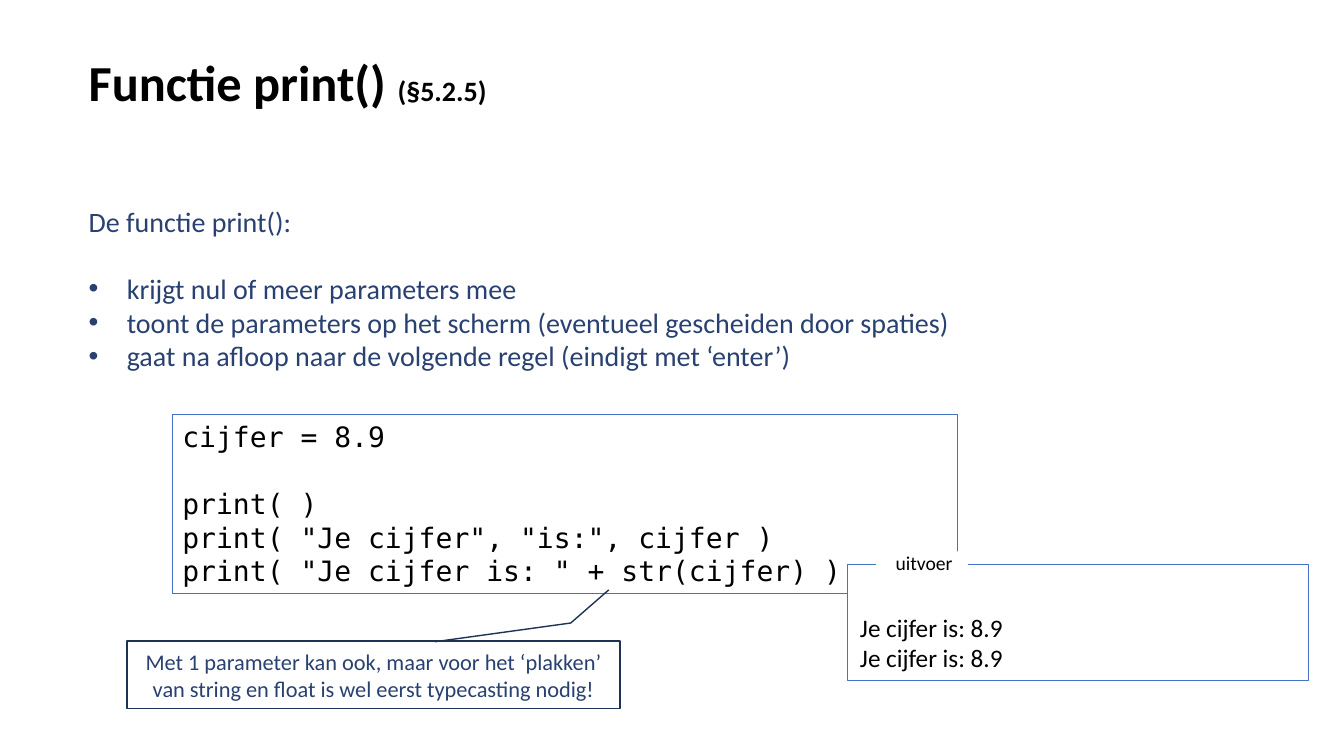
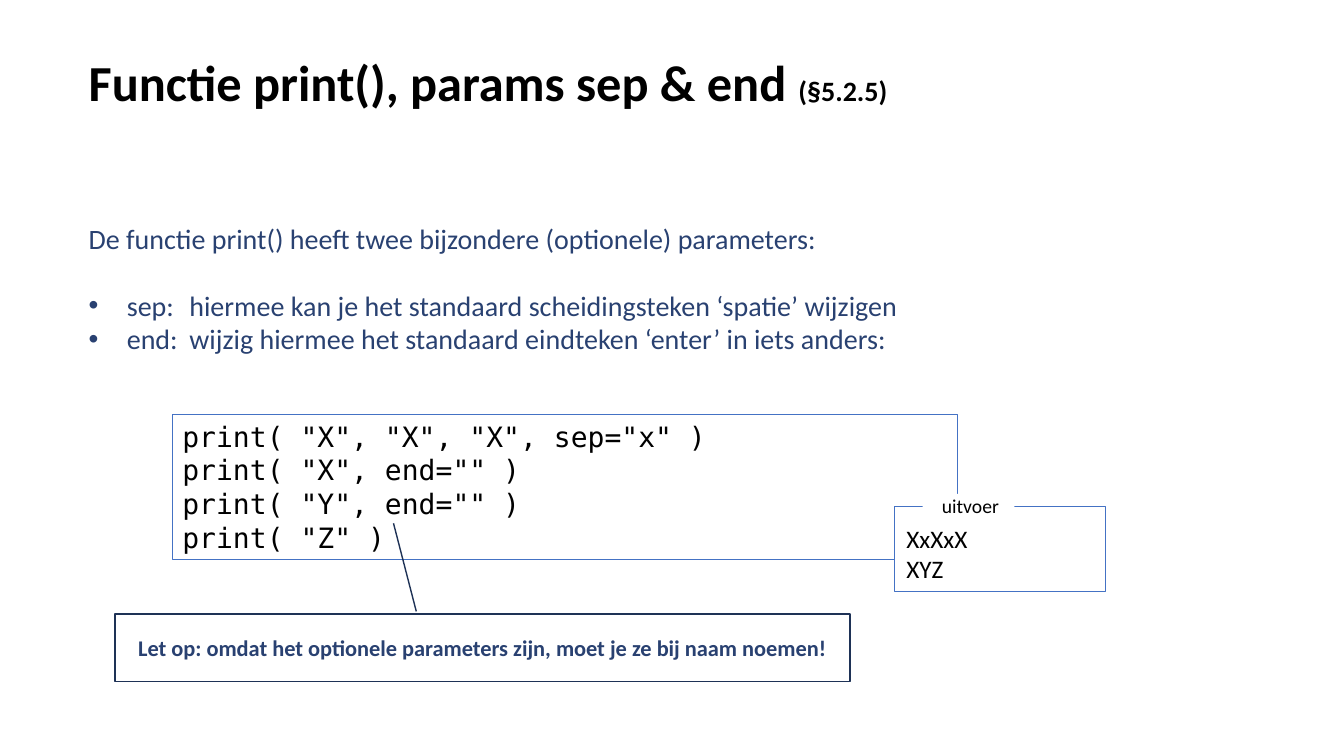
from pptx import Presentation, util as u
from pptx.dml.color import RGBColor
from pptx.enum import shapes, text
from pptx.oxml.ns import qn
from lxml import etree

# Shared look
BLACK = RGBColor(0x00, 0x00, 0x00)
WHITE = RGBColor(0xFF, 0xFF, 0xFF)
NAVY = RGBColor(0x29, 0x41, 0x71)
BLUE = RGBColor(0x44, 0x72, 0xC4)
DARK = RGBColor(0x1E, 0x32, 0x56)
SANS, MONO = "Calibri", "DejaVu Sans Mono"
LEFT, CENTER = text.PP_ALIGN.LEFT, text.PP_ALIGN.CENTER
TOP, MIDDLE, BOTTOM = (text.MSO_ANCHOR.TOP, text.MSO_ANCHOR.MIDDLE,
                       text.MSO_ANCHOR.BOTTOM)
SHAPE = shapes.MSO_SHAPE

# Shared places, in inches
WIDTH, HEIGHT = 13.33, 7.5
TITLE = (0.78, 0, 8.5, 1.61)
BODY = (0.78, 1.97, 11.47, 1.78)
CODE_LEFT, CODE_TOP, CODE_WIDTH = 1.71, 4.11, 7.79
CODE_LINE, CODE_PAD = 0.336, 0.1
LABEL_SHIFT, LABEL_SIZE = (0.28, -0.13), (0.91, 0.24)
BULLET_INDENT = 0.38
EMPTY_LINE = 24  # points

# Content; an empty code line becomes paragraph spacing
SECTION = "(§5.2.5)"
SLIDES = [
    dict(
        title="Functie print() ",
        intro="De functie print():",
        bullets=["krijgt nul of meer parameters mee",
                 "toont de parameters op het scherm (eventueel gescheiden door spaties)",
                 "gaat na afloop naar de volgende regel (eindigt met ‘enter’)"],
        code=['cijfer = 8.9',
              '',
              'print( )',
              'print( "Je cijfer", "is:", cijfer )',
              'print( "Je cijfer is: " + str(cijfer) )'],
        output=["Je cijfer is: 8.9", "Je cijfer is: 8.9"],
        output_at=(8.41, 5.6, 4.57, 1.15),
        note="Met 1 parameter kan ook, maar voor het ‘plakken’ van string en "
             "float is wel eerst typecasting nodig!",
        note_at=(1.26, 6.36, 4.89, 0.67),
        note_bold=False,
        callout=SHAPE.LINE_CALLOUT_2,
        pointer=(0.01, 0.625, -0.267, 0.9, -0.757, 0.977),
    ),
    dict(
        title="Functie print(), params sep & end ",
        intro="De functie print() heeft twee bijzondere (optionele) parameters:",
        bullets=["sep:\thiermee kan je het standaard scheidingsteken ‘spatie’ wijzigen",
                 "end:\twijzig hiermee het standaard eindteken ‘enter’ in iets anders:"],
        code=['print( "X", "X", "X", sep="x" )',
              'print( "X", end="" )',
              'print( "Y", end="" )',
              'print( "Z" )'],
        output=["XxXxX", "XYZ"],
        output_at=(8.87, 5.03, 2.09, 0.84),
        note="Let op: omdat het optionele parameters zijn, moet je ze bij naam noemen!",
        note_at=(1.14, 6.09, 7.29, 0.67),
        note_bold=True,
        callout=SHAPE.LINE_CALLOUT_1,
        pointer=(-0.037, 0.41, -1.341, 0.379),
    ),
]


def inches(values):
    return [u.Inches(v) for v in values]


def style(font, size, color=BLACK, name=SANS, bold=False):
    font.size, font.name, font.bold = u.Pt(size), name, bold
    font.color.rgb = color


def add_bullet(p):
    pPr = p._p.get_or_add_pPr()
    indent = u.Inches(BULLET_INDENT)
    pPr.set("marL", str(indent))
    pPr.set("indent", str(-indent))
    etree.SubElement(pPr, qn("a:buFont"), typeface="Arial")
    etree.SubElement(pPr, qn("a:buChar"), char="•")


def write(tf, lines, size, anchor=TOP, align=LEFT, insets=None, bullets=False, **font):
    """Fill a frame; with bullets, every line after the first gets one."""
    tf.word_wrap = True
    tf.vertical_anchor = anchor
    if insets:
        (tf.margin_left, tf.margin_top,
         tf.margin_right, tf.margin_bottom) = inches(insets)
    p, gap = None, 0
    for line in lines:
        if not line:
            gap += EMPTY_LINE
            continue
        first = p is None
        p = tf.paragraphs[0] if first else tf.add_paragraph()
        p.alignment = align
        if gap:
            p.space_before, gap = u.Pt(gap), 0
        if bullets and not first:
            add_bullet(p)
        r = p.add_run()
        r.text = line
        style(r.font, size, **font)


def add_box(parent, kind, at, line=None, weight=0.75, fill=None):
    sp = parent.add_shape(kind, *inches(at))
    sp.shadow.inherit = False
    if fill is None:
        sp.fill.background()
    else:
        sp.fill.solid()
        sp.fill.fore_color.rgb = fill
    if line is None:
        sp.line.fill.background()
    else:
        sp.line.color.rgb = line
        sp.line.width = u.Pt(weight)
    return sp


def add_title(s, title):
    sp = s.shapes.title
    sp.left, sp.top, sp.width, sp.height = inches(TITLE)
    tf = sp.text_frame
    tf.auto_size = text.MSO_AUTO_SIZE.NONE
    write(tf, [title], 36, anchor=MIDDLE, bold=True)
    r = tf.paragraphs[0].add_run()
    r.text = SECTION
    style(r.font, 20, bold=True)


def add_body(s, intro, bullets):
    sp = s.shapes.add_textbox(*inches(BODY))
    write(sp.text_frame, [intro, ""] + bullets, 20, anchor=MIDDLE,
          bullets=True, color=NAVY)


def add_code(s, code):
    height = len(code) * CODE_LINE + CODE_PAD
    sp = add_box(s.shapes, SHAPE.RECTANGLE,
                 (CODE_LEFT, CODE_TOP, CODE_WIDTH, height), line=BLUE)
    write(sp.text_frame, code, 20, name=MONO)


def add_output(s, lines, at):
    group = s.shapes.add_group_shape().shapes
    sp = add_box(group, SHAPE.RECTANGLE, at, line=BLUE, fill=WHITE)
    write(sp.text_frame, lines, 18, anchor=BOTTOM, insets=(0.12, 0.16, 0.12, 0.08))
    corner = tuple(a + d for a, d in zip(at, LABEL_SHIFT))
    label = add_box(group, SHAPE.RECTANGLE, corner + LABEL_SIZE, fill=WHITE)
    write(label.text_frame, ["uitvoer"], 14, align=CENTER, insets=(0.04, 0, 0, 0))


def add_note(s, note, at, bold, kind, pointer):
    sp = add_box(s.shapes, kind, at, line=DARK, weight=1)
    for i, value in enumerate(pointer):
        sp.adjustments[i] = value
    write(sp.text_frame, [note], 16, anchor=MIDDLE, align=CENTER,
          color=NAVY, bold=bold)


def main():
    prs = Presentation()
    prs.slide_width, prs.slide_height = inches((WIDTH, HEIGHT))
    for c in SLIDES:
        s = prs.slides.add_slide(prs.slide_layouts[5])  # title only
        add_title(s, c["title"])
        add_body(s, c["intro"], c["bullets"])
        add_code(s, c["code"])
        add_output(s, c["output"], c["output_at"])
        add_note(s, c["note"], c["note_at"], c["note_bold"],
                 c["callout"], c["pointer"])
    prs.save("out.pptx")


if __name__ == "__main__":
    main()
